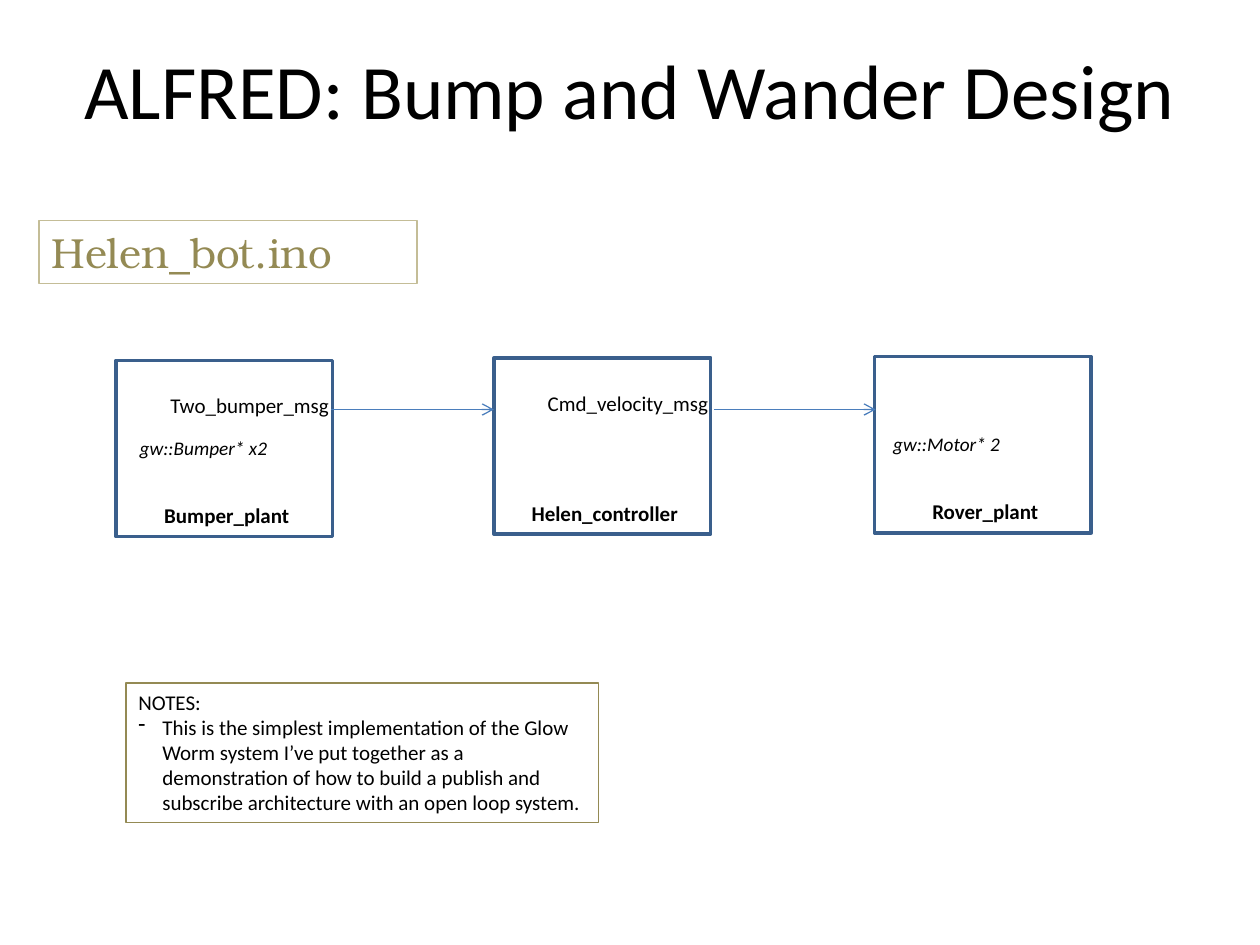
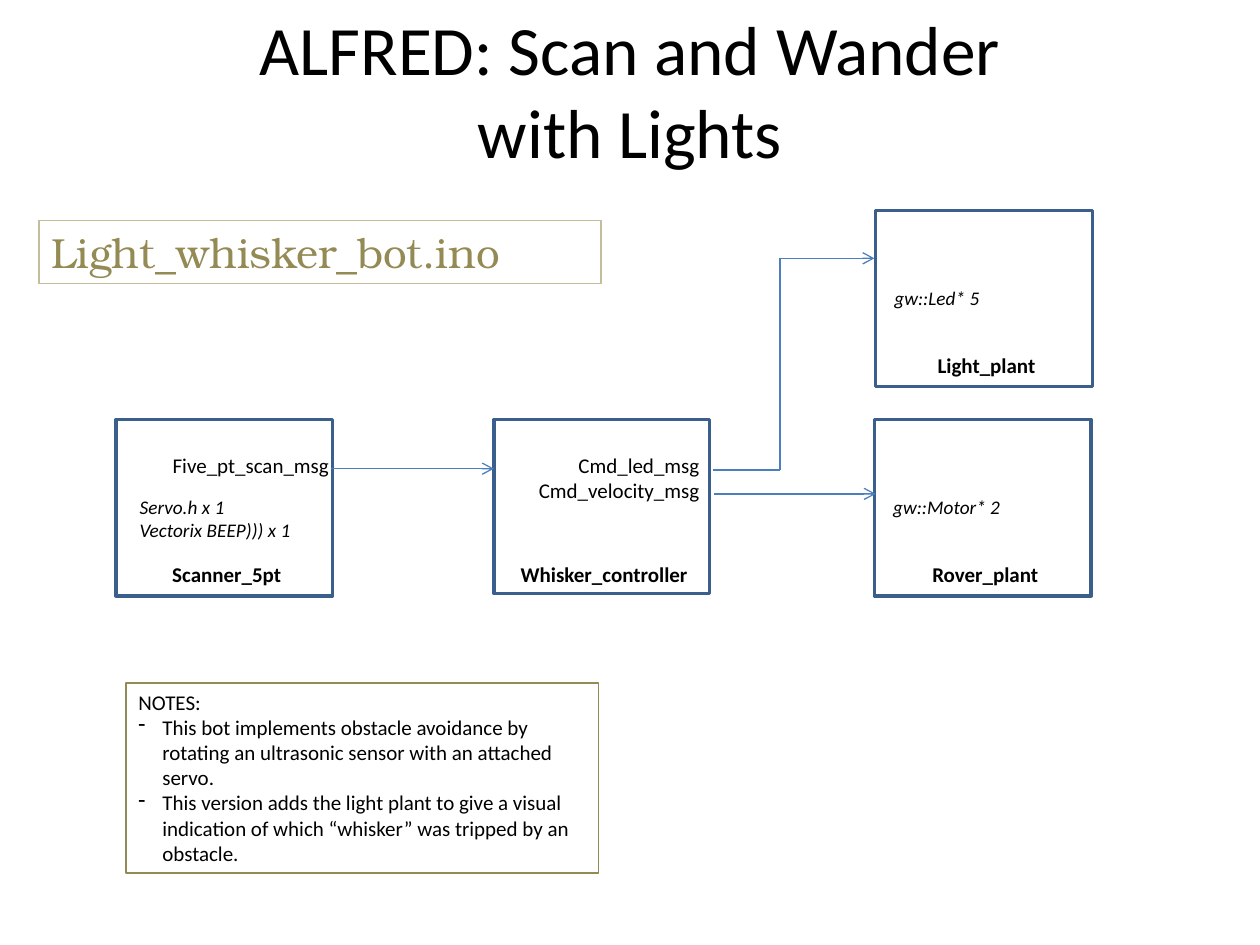
import itertools

import lxml.etree
import pptx
import pptx.dml.color
import pptx.enum.shapes
import pptx.enum.text
import pptx.oxml.ns
import pptx.util

COLS, ROWS = 100, 75
HUES = {
    "ink": "000000",
    "block": "3A5F8C",
    "arrow": "4B7EBC",
    "note": "948A54",
    "tag": "C4BD97",
}
FONTS = {
    "title": {"name": "Calibri", "size": pptx.util.Pt(44)},
    "long": {"name": "Calibri", "size": pptx.util.Pt(39.6)},
    "tag": {"name": "TeX Gyre Bonum", "size": pptx.util.Pt(24)},
    "name": {"name": "Calibri", "size": pptx.util.Pt(12), "bold": True},
    "body": {"name": "Calibri", "size": pptx.util.Pt(12)},
    "part": {"name": "Calibri", "size": pptx.util.Pt(11), "italic": True},
}
ALIGN = pptx.enum.text.PP_ALIGN
ANCHOR = pptx.enum.text.MSO_ANCHOR

deck = pptx.Presentation()
deck.slide_width = pptx.util.Inches(10)
deck.slide_height = pptx.util.Inches(7.5)


def place(*cells):
    """Turn alternating column and row counts into slide lengths."""
    units = itertools.cycle((deck.slide_width / COLS, deck.slide_height / ROWS))
    return [round(cell * unit) for cell, unit in zip(cells, units)]


def tint(text):
    """Return the named colour."""
    return pptx.dml.color.RGBColor.from_string(HUES[text])


def write(shape, lines, font, align=ALIGN.LEFT, anchor=ANCHOR.TOP, hue="ink"):
    """Fill a shape with one paragraph for each line."""
    frame = shape.text_frame
    frame.word_wrap = True
    frame.vertical_anchor = anchor
    for row, line in enumerate(lines):
        para = frame.add_paragraph() if row else frame.paragraphs[0]
        para.text = line
        para.alignment = align
        for run in para.runs:
            for key, value in FONTS[font].items():
                setattr(run.font, key, value)
            run.font.color.rgb = tint(hue)
    return frame


def label(slide, box, lines, font, align=ALIGN.LEFT, anchor=ANCHOR.TOP):
    """Place plain text in a box."""
    write(slide.shapes.add_textbox(*place(*box)), lines, font, align, anchor)


def frame(slide, box, hue, width):
    """Draw an outlined box without fill."""
    kind = pptx.enum.shapes.MSO_SHAPE.RECTANGLE
    shape = slide.shapes.add_shape(kind, *place(*box))
    shape.shadow.inherit = False
    shape.fill.background()
    shape.line.color.rgb = tint(hue)
    shape.line.width = pptx.util.Pt(width)
    return shape


def head(slide, title, font, file, wide):
    """Place the title and the file tag below it."""
    label(slide, (5, 0.8, 90, 12.5), [title], font, ALIGN.CENTER, ANCHOR.MIDDLE)
    tag = frame(slide, (3.1, 17.5, wide, 5), "tag", 0.75)
    write(tag, [file], "tag", hue="note")


def notes(slide, high, items):
    """Place the notes box with its dashed list."""
    shape = frame(slide, (10, 54.2, 37.5, high), "note", 0.75)
    text = write(shape, ["NOTES:", *items], "body")
    dent = pptx.util.Inches(0.19)
    for para in text.paragraphs[1:]:
        props = para._p.get_or_add_pPr()
        props.set("marL", str(dent))
        props.set("indent", str(-dent))
        dash = lxml.etree.SubElement(props, pptx.oxml.ns.qn("a:buChar"))
        dash.set("char", "-")


def block(slide, box, name, ports=(), span=(0, 0), parts=(), inset=0.5, wide=14):
    """Draw a module with its name, outgoing messages and parts."""
    left, top, width, _ = box
    mid = left + width / 2 + 0.2
    label(slide, (mid - wide / 2, top + 10.8, wide, 3), [name], "name", ALIGN.CENTER)
    frame(slide, box, "block", 2)
    if ports:
        start, size = span
        high = 1 + 2 * len(ports)
        label(slide, (left + start, top + 2.1, size, high), ports, "body", ALIGN.RIGHT)
    if parts:
        high = 1.1 + 1.8 * len(parts)
        label(slide, (left + inset, top + 5.5, 15.2, high), parts, "part")


def route(slide, *points):
    """Join the points with lines and end in an arrowhead."""
    kind = pptx.enum.shapes.MSO_CONNECTOR.STRAIGHT
    for start, end in itertools.pairwise(points):
        line = slide.shapes.add_connector(kind, *place(*start, *end))
        line.line.color.rgb = tint("arrow")
        line.line.width = pptx.util.Pt(0.75)
        props = line.element.spPr
        if end == points[-1]:
            stroke = props.find(pptx.oxml.ns.qn("a:ln"))
            tail = lxml.etree.SubElement(stroke, pptx.oxml.ns.qn("a:tailEnd"))
            tail.set("type", "arrow")
        lxml.etree.SubElement(props, pptx.oxml.ns.qn("a:effectLst"))


def bump():
    """Build the bump and wander slide."""
    slide = deck.slides.add_slide(deck.slide_layouts[6])
    head(slide, "ALFRED: Bump and Wander Design", "title", "Helen_bot.ino", 30)
    block(slide, (39.2, 28.4, 17.2, 14), "Helen_controller",
          ["Cmd_velocity_msg"], (2.5, 15.5))
    block(slide, (9.2, 28.6, 17.2, 14), "Bumper_plant",
          ["Two_bumper_msg"], (1.8, 16.1), ["gw::Bumper* x2"], 0.9)
    block(slide, (69.4, 28.3, 17.2, 14), "Rover_plant", parts=["gw::Motor* 2"])
    route(slide, (26.3, 32.5), (39.2, 32.5))
    route(slide, (56.7, 32.5), (69.5, 32.5))
    notes(slide, 11.1, [
        "This is the simplest implementation of the Glow Worm system I’ve put "
        "together as a demonstration of how to build a publish and subscribe "
        "architecture with an open loop system."])


def scan():
    """Build the scan and wander slide."""
    slide = deck.slides.add_slide(deck.slide_layouts[6])
    head(slide, "ALFRED: Scan and Wander\vwith Lights", "long",
         "Light_whisker_bot.ino", 44.6)
    block(slide, (9.2, 33.3, 17.2, 14), "Scanner_5pt", ["Five_pt_scan_msg"],
          (1.8, 16.1), ["Servo.h x 1", "Vectorix BEEP))) x 1"], 0.9)
    block(slide, (69.4, 33.3, 17.2, 14), "Rover_plant", parts=["gw::Motor* 2"])
    block(slide, (39.2, 33.3, 17.1, 13.8), "Whisker_controller",
          ["Cmd_led_msg", "Cmd_velocity_msg"], (1.9, 15.4), wide=16.2)
    block(slide, (69.5, 16.7, 17.2, 14), "Light_plant", parts=["gw::Led* 5"])
    route(slide, (26.3, 37.2), (39.2, 37.2))
    route(slide, (56.7, 39.2), (69.5, 39.2))
    route(slide, (56.6, 37.3), (61.9, 37.3), (61.9, 20.5), (69.4, 20.5))
    notes(slide, 15.1, [
        "This bot implements obstacle avoidance by rotating an ultrasonic "
        "sensor with an attached servo.",
        "This version adds the light plant to give a visual indication of "
        "which “whisker” was tripped by an obstacle."])


bump()
scan()
deck.save("out.pptx")
